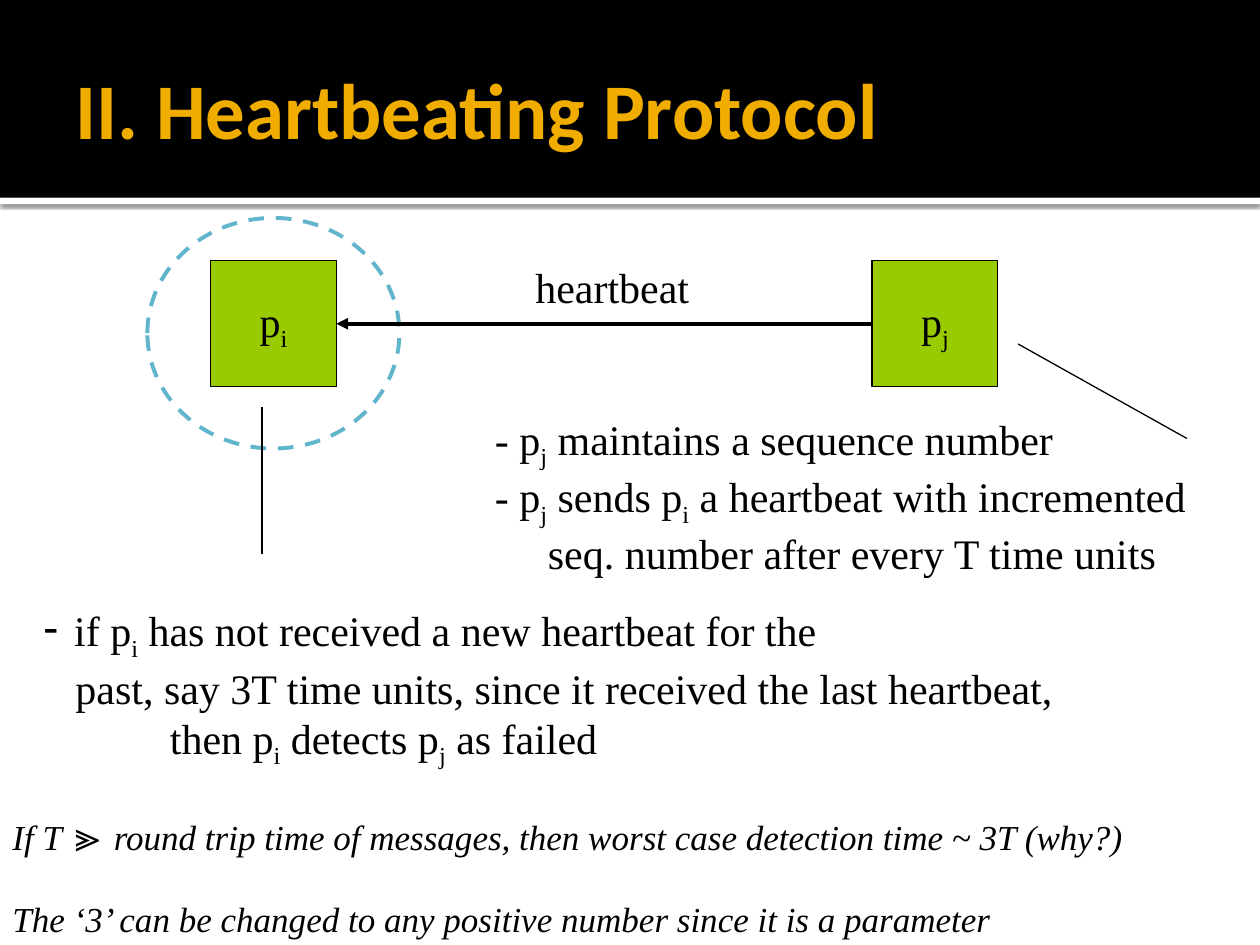
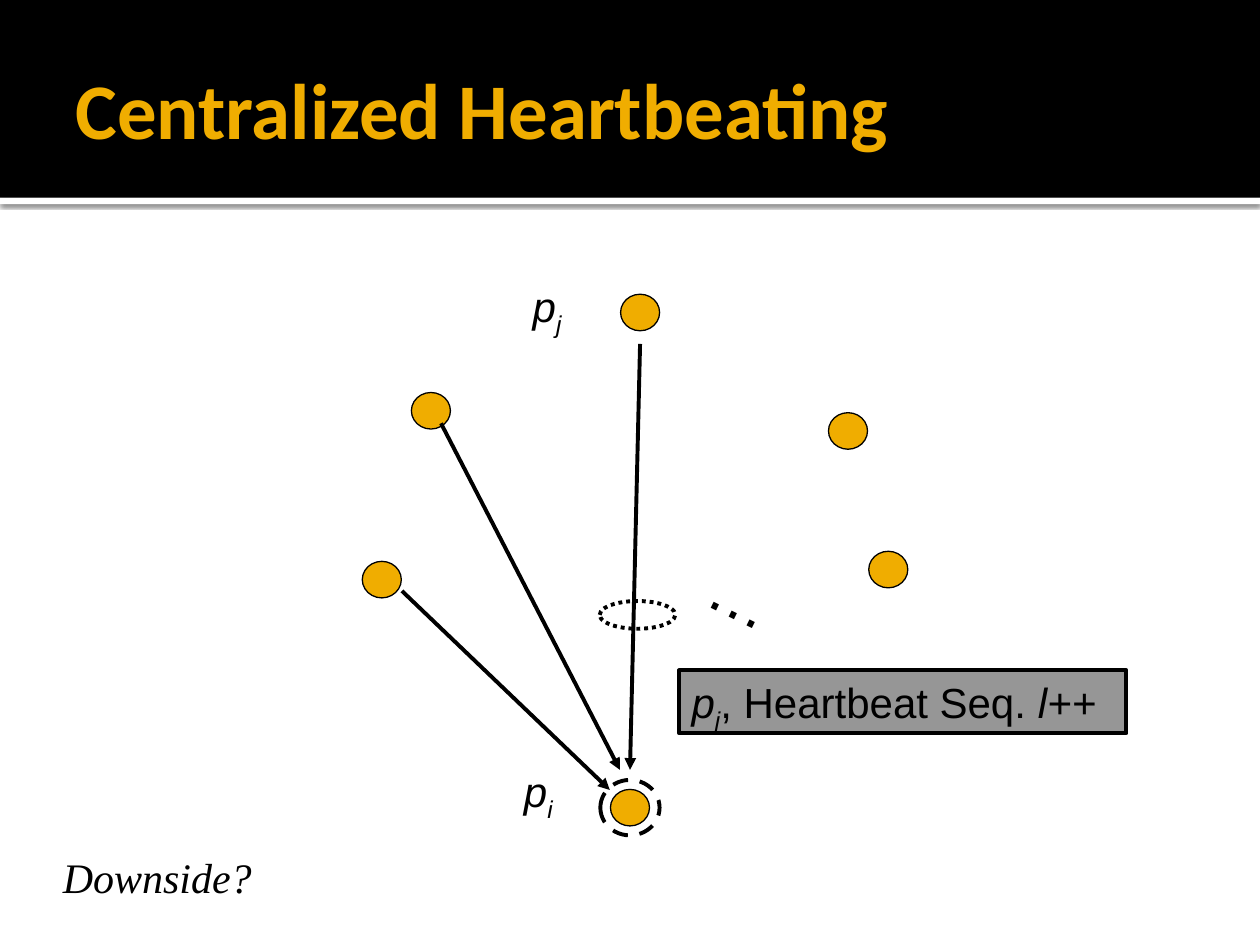
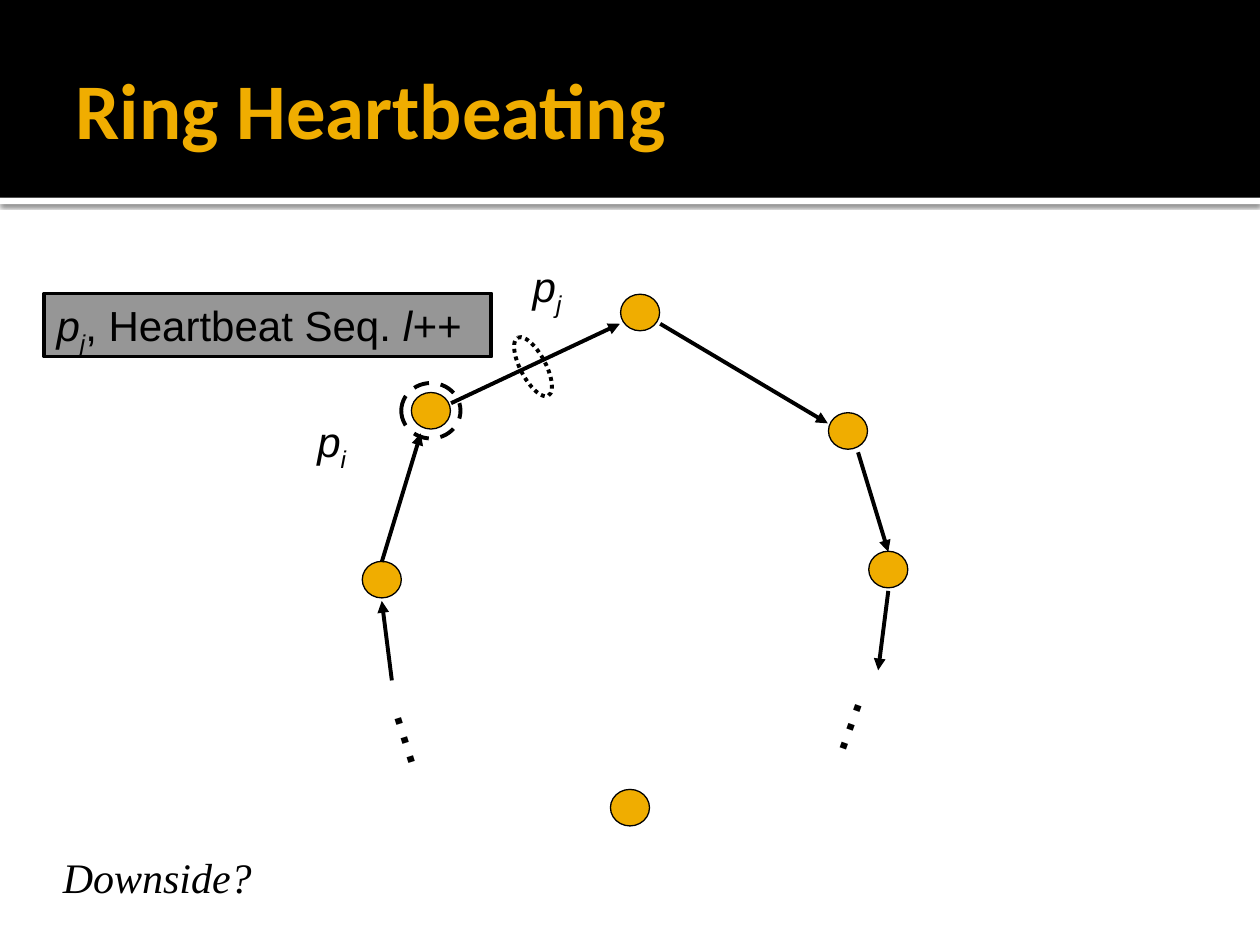
from dataclasses import dataclass

from lxml import etree
from pptx import Presentation
from pptx.dml.color import RGBColor
from pptx.enum.dml import MSO_LINE
from pptx.enum.shapes import MSO_CONNECTOR, MSO_SHAPE
from pptx.enum.text import MSO_ANCHOR, MSO_AUTO_SIZE, PP_ALIGN
from pptx.oxml import parse_xml
from pptx.oxml.ns import nsdecls, qn
from pptx.util import Inches, Pt

RECTANGLE, ELLIPSE = MSO_SHAPE.RECTANGLE, MSO_SHAPE.OVAL
STRAIGHT = MSO_CONNECTOR.STRAIGHT
DASH, DOTS = MSO_LINE.DASH, MSO_LINE.ROUND_DOT
TITLE_ONLY = 5
LEFT_SIDE, RIGHT_SIDE = 1, 3


@dataclass(frozen=True)
class Theme:
    black: RGBColor = RGBColor.from_string("000000")
    white: RGBColor = RGBColor.from_string("FFFFFF")
    gold: RGBColor = RGBColor.from_string("F0AD00")
    green: RGBColor = RGBColor.from_string("99CC00")
    blue: RGBColor = RGBColor.from_string("60B5CC")
    gray: RGBColor = RGBColor.from_string("969696")
    title_font: str = "Calibri"
    serif: str = "Times New Roman"
    sans: str = "Arial"
    title_size: float = 45
    dots_size: float = 36
    text_size: float = 24
    note_size: float = 20
    thin: float = 0.75
    thick: float = 2.25


THEME = Theme()

# In text, "_" lowers the one character that follows it.
# Paragraphs: (text, left indent in inches, bullet or None)
SENDER_RULES = [
    ("- p_j maintains a sequence number", 0, None),
    ("- p_j sends p_i a heartbeat with incremented", 0, None),
    ("seq. number after every T time units", 0.42, None),
]
RECEIVER_RULES = [
    ("if p_i has not received a new heartbeat for the", 0.24, "-"),
    ("past, say 3T time units, since it received the last heartbeat,", 0.25, None),
    ("then p_i detects p_j as failed", 1, None),
]
TIMING_NOTES = [
    ("If T ≫ round trip time of messages, then worst case detection time ~ 3T (why?)", 0, None),
    ("The ‘3’ can be changed to any positive number since it is a parameter", 0, None),
]
MESSAGE = [("p_j", True), (", Heartbeat Seq. ", False), ("l++", True)]

NODE_SIZE = (0.31, 0.29)
MONITOR_SIZE = (0.47, 0.44)
UPPER_LEFT, BOTTOM = (3.42, 3.26), (5, 6.41)
NODE_CENTERS = [UPPER_LEFT, (3.03, 4.6), (5.08, 2.48), (6.73, 3.42), (7.05, 4.52), BOTTOM]

NETWORKS = [
    {
        "title": "Centralized Heartbeating",
        "arrows": [((3.19, 4.69), (4.84, 6.27)), ((3.5, 3.36), (4.92, 6.11)),
                   ((5.08, 2.73), (5, 6.11))],
        "monitor": BOTTOM,
        "marker": ((5.06, 4.88), (0.6, 0.22), 0),
        "message": (5.39, 5.32),
        "labels": [("p_j", 4.13, 2.18), ("p_i", 4.06, 6.03)],
        "dots": [(5.55, 4.38, 26.2)],
    },
    {
        "title": "Ring Heartbeating",
        "arrows": [((3.03, 4.46), (3.34, 3.44)), ((3.58, 3.2), (4.92, 2.57)),
                   ((5.24, 2.57), (6.57, 3.36)), ((3.11, 5.4), (3.03, 4.77)),
                   ((6.81, 3.59), (7.05, 4.38)), ((7.05, 4.69), (6.97, 5.32))],
        "monitor": UPPER_LEFT,
        "marker": ((4.23, 2.91), (0.52, 0.2), 62.2),
        "message": (0.35, 2.33),
        "labels": [("p_j", 4.13, 2.02), ("p_i", 2.42, 3.25)],
        "dots": [(6.57, 5.48, 109.7), (3.03, 5.48, 72.5)],
    },
]


def inches(values):
    return [Inches(value) for value in values]


def add_runs(paragraph, text, font, size, italic=False):
    """Add text run by run, lowering each character after an underscore."""
    first, *rest = text.split("_")
    pieces = [(first, False)]
    for part in rest:
        pieces += [(part[0], True), (part[1:], False)]
    for piece, lowered in pieces:
        if not piece:
            continue
        run = paragraph.add_run()
        run.text = piece
        run.font.name, run.font.size = font, Pt(size)
        run.font.italic = italic
        run.font.color.rgb = THEME.black
        if lowered:
            run.font._element.set("baseline", "-25000")


def fit_frame(shape):
    frame = shape.text_frame
    frame.word_wrap = False
    frame.auto_size = MSO_AUTO_SIZE.SHAPE_TO_FIT_TEXT
    frame.vertical_anchor = MSO_ANCHOR.TOP
    return frame


def add_text(slide, box, paragraphs, font=THEME.serif, size=THEME.text_size,
             italic=False, gap=0):
    text_box = slide.shapes.add_textbox(*inches(box))
    frame = fit_frame(text_box)
    for index, (text, indent, bullet) in enumerate(paragraphs):
        paragraph = frame.add_paragraph() if index else frame.paragraphs[0]
        if index and gap:
            paragraph.space_before = Pt(gap)
        if indent:
            properties = paragraph._p.get_or_add_pPr()
            properties.set("marL", str(Inches(indent)))
            properties.set("indent", str(-Inches(indent) if bullet else 0))
            if bullet:
                etree.SubElement(properties, qn("a:buChar")).set("char", bullet)
        add_runs(paragraph, text, font, size, italic)
    return text_box


def add_shape(slide, kind, box, fill=None, line=None, width=THEME.thin, dash=None):
    shape = slide.shapes.add_shape(kind, *inches(box))
    shape.shadow.inherit = False
    if fill is None:
        shape.fill.background()
    else:
        shape.fill.solid()
        shape.fill.fore_color.rgb = fill
    if line is None:
        shape.line.fill.background()
    else:
        shape.line.color.rgb = line
        shape.line.width = Pt(width)
        if dash:
            shape.line.dash_style = dash
    return shape


def add_ellipse(slide, center, size, **style):
    (x, y), (width, height) = center, size
    return add_shape(slide, ELLIPSE, (x - width / 2, y - height / 2, width, height), **style)


def add_line(slide, start, end, width=THEME.thin, arrow=False):
    connector = slide.shapes.add_connector(STRAIGHT, *inches((*start, *end)))
    connector.line.color.rgb = THEME.black
    connector.line.width = Pt(width)
    if arrow:
        etree.SubElement(connector.line._get_or_add_ln(), qn("a:tailEnd")).set("type", "triangle")
    etree.SubElement(connector.element.spPr, qn("a:effectLst"))
    return connector


def add_bands(slide, layout):
    """Draw the header bands and move them to the layout, behind its placeholders."""
    stripe = add_shape(slide, RECTANGLE, (0, 1.57, 10, 0.05), THEME.white)
    properties = stripe.element.spPr
    properties.replace(properties.find(qn("a:effectLst")), parse_xml(
        f'<a:effectLst {nsdecls("a")}><a:outerShdw blurRad="{Pt(2.5)}" dist="{Pt(0.8)}" '
        'dir="5400000" algn="tl" rotWithShape="0"><a:srgbClr val="000000">'
        '<a:alpha val="60000"/></a:srgbClr></a:outerShdw></a:effectLst>'))
    header = add_shape(slide, RECTANGLE, (0, 0, 10, 1.57), THEME.black)
    for index, band in enumerate((stripe, header)):
        band.element.nvSpPr.cNvPr.set("id", str(101 + index))
        layout.shapes.element.insert(2 + index, band.element)


def add_slide(presentation, title):
    slide = presentation.slides.add_slide(presentation.slide_layouts[TITLE_ONLY])
    shape = slide.shapes.title
    shape.left, shape.top, shape.width, shape.height = inches((0.5, 0.17, 9, 1.37))
    frame = shape.text_frame
    frame.word_wrap = True
    frame.auto_size = MSO_AUTO_SIZE.NONE
    frame.vertical_anchor = MSO_ANCHOR.MIDDLE
    frame.margin_left = Inches(0.1)
    frame.margin_top = frame.margin_right = frame.margin_bottom = Inches(0.05)
    paragraph = frame.paragraphs[0]
    paragraph.alignment = PP_ALIGN.LEFT
    run = paragraph.add_run()
    run.text = title
    run.font.name, run.font.size, run.font.bold = THEME.title_font, Pt(THEME.title_size), True
    run.font.color.rgb = THEME.gold
    return slide


def add_process(slide, left, label):
    process = add_shape(slide, RECTANGLE, (left, 2.07, 1, 1), THEME.green, THEME.black)
    frame = process.text_frame
    frame.word_wrap = False
    frame.vertical_anchor = MSO_ANCHOR.MIDDLE
    paragraph = frame.paragraphs[0]
    paragraph.alignment = PP_ALIGN.CENTER
    add_runs(paragraph, label, THEME.serif, THEME.text_size)
    return process


def build_protocol(slide):
    receiver = add_process(slide, 1.67, "p_i")
    sender = add_process(slide, 6.92, "p_j")
    add_shape(slide, ELLIPSE, (1.17, 1.73, 2, 1.83), line=THEME.blue, width=THEME.thick, dash=DASH)
    heartbeat = add_line(slide, (6.92, 2.57), (2.67, 2.57), THEME.thick, arrow=True)
    heartbeat.begin_connect(sender, LEFT_SIDE)
    heartbeat.end_connect(receiver, RIGHT_SIDE)
    add_text(slide, (3.83, 3.23, 5.83, 1.31), SENDER_RULES)
    add_text(slide, (0.25, 4.75, 8.29, 1.31), RECEIVER_RULES)
    add_line(slide, (2.08, 3.23), (2.08, 4.4))
    add_line(slide, (8.08, 2.73), (9.42, 3.48))
    add_text(slide, (4.15, 2.03, 1.42, 0.5), [("heartbeat", 0, None)])
    add_text(slide, (0, 6.42, 9.25, 1.1), TIMING_NOTES, size=THEME.note_size, italic=True, gap=23)


def build_network(slide, network):
    for center in NODE_CENTERS:
        add_ellipse(slide, center, NODE_SIZE, fill=THEME.gold, line=THEME.black)
    for start, end in network["arrows"]:
        add_line(slide, start, end, THEME.thick, arrow=True)

    message = add_shape(slide, RECTANGLE, (*network["message"], 3.55, 0.5),
                        THEME.gray, THEME.black, THEME.thick)
    paragraph = fit_frame(message).paragraphs[0]
    paragraph.alignment = PP_ALIGN.LEFT
    for text, italic in MESSAGE:
        add_runs(paragraph, text, THEME.sans, THEME.text_size, italic)

    center, size, angle = network["marker"]
    marker = add_ellipse(slide, center, size, line=THEME.black, width=THEME.thick, dash=DOTS)
    marker.rotation = angle
    add_ellipse(slide, network["monitor"], MONITOR_SIZE,
                line=THEME.black, width=THEME.thick, dash=DASH)

    for label, left, top in network["labels"]:
        add_text(slide, (left, top, 0.5, 0.5), [(label, 0, None)], THEME.sans, italic=True)
    for left, top, angle in network["dots"]:
        dots = add_text(slide, (left, top, 0.7, 0.7), [("…", 0, None)],
                        THEME.sans, THEME.dots_size)
        dots.rotation = angle
    add_text(slide, (0.4, 6.71, 1.7, 0.5), [("Downside?", 0, None)], italic=True)


def main():
    presentation = Presentation()
    presentation.slide_width, presentation.slide_height = Inches(10), Inches(7.5)
    protocol = add_slide(presentation, "II. Heartbeating Protocol")
    add_bands(protocol, protocol.slide_layout)
    build_protocol(protocol)
    for network in NETWORKS:
        build_network(add_slide(presentation, network["title"]), network)
    presentation.save("out.pptx")


if __name__ == "__main__":
    main()
